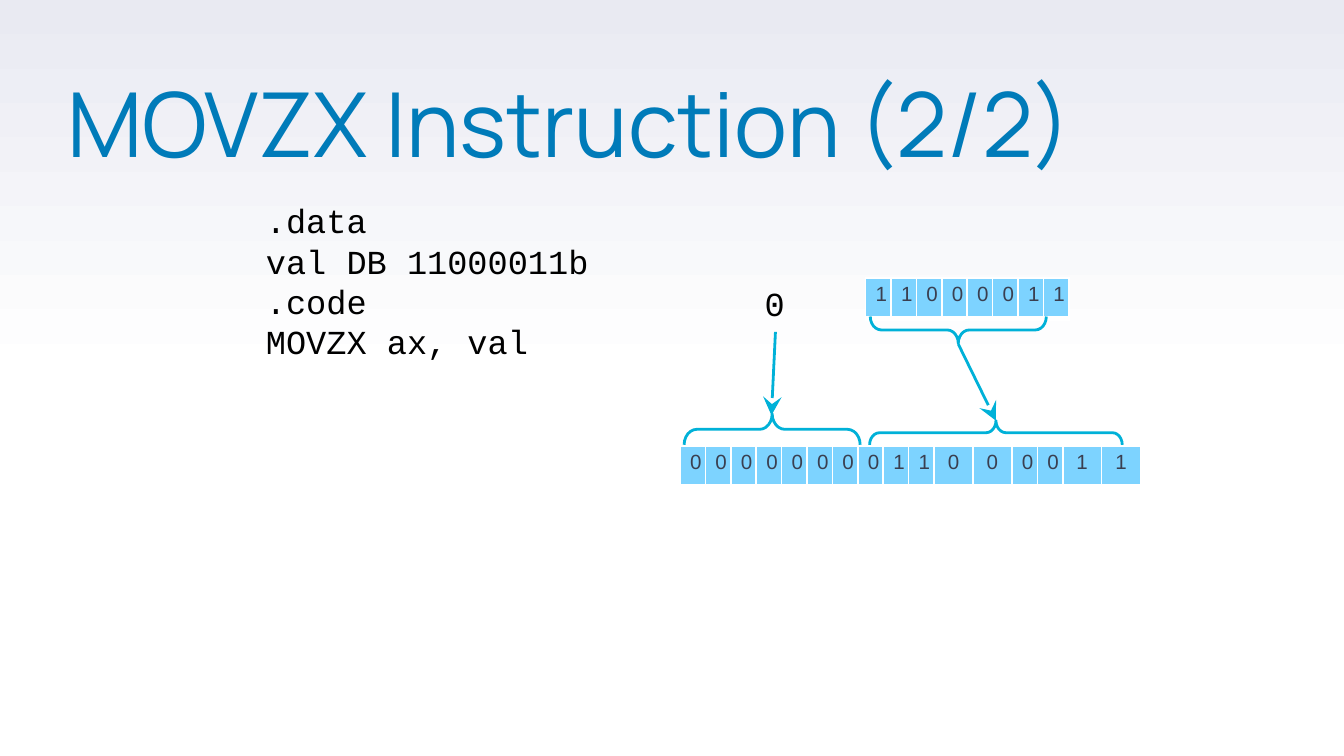
from dataclasses import dataclass

from lxml.etree import SubElement
from pptx import Presentation
from pptx.dml.color import RGBColor
from pptx.enum.shapes import MSO_CONNECTOR, MSO_SHAPE
from pptx.enum.text import MSO_AUTO_SIZE, PP_ALIGN
from pptx.oxml.ns import qn
from pptx.util import Inches, Pt

WHITE, CYAN = "FFFFFF", "00B1D8"
NARROW, WIDE = 1.42 / 8, 0.29
CELL_MARGIN = 0.15 / 2
BORDERS = {"a:lnL": 1, "a:lnR": 1, "a:lnT": 1, "a:lnB": 3}


@dataclass
class Register:
    left: float
    top: float
    bits: str
    wide_columns: tuple = ()


@dataclass
class Brace:
    left: float
    top: float
    width: float
    height: float
    rotation: int


@dataclass
class Arrow:
    start: tuple
    end: tuple


REGISTERS = [
    Register(5.06, 3.32, "0000000011000011", (10, 11, 14, 15)),
    Register(6.44, 2.07, "11000011"),
]
BRACES = [
    Brace(7.03, 1.8, 0.2, 1.31, 270),
    Brace(7.32, 2.28, 0.18, 1.88, 90),
    Brace(5.63, 2.54, 0.23, 1.31, 90),
]
ARROWS = [Arrow((7.13, 2.56), (7.41, 3.13)), Arrow((5.77, 2.47), (5.74, 3.09))]


def color(value: str) -> RGBColor:
    return RGBColor.from_string(value)


def write(frame, text: str, *, font: str, size: float, fill: str,
          align=PP_ALIGN.LEFT, spacing: float = 1.0) -> None:
    """Write each line of text as a formatted paragraph."""
    for index, line in enumerate(text.split("\n")):
        paragraph = frame.paragraphs[0] if index == 0 else frame.add_paragraph()
        paragraph.alignment = align
        paragraph.line_spacing = spacing
        run = paragraph.add_run()
        run.text = line
        run.font.name = font
        run.font.size = Pt(size)
        run.font.color.rgb = color(fill)


def add_code(slide, text: str, left: float, top: float, width: float, height: float) -> None:
    frame = slide.shapes.add_textbox(
        Inches(left), Inches(top), Inches(width), Inches(height)).text_frame
    frame.word_wrap = False
    frame.auto_size = MSO_AUTO_SIZE.SHAPE_TO_FIT_TEXT
    write(frame, text, font="Courier New", size=18, fill="000000")


def format_bit(cell, bit: str) -> None:
    cell.margin_left = cell.margin_right = Inches(CELL_MARGIN)
    cell.margin_top = cell.margin_bottom = Inches(CELL_MARGIN / 2)
    write(cell.text_frame, bit, font="Arial", size=11, fill="3A3F50", align=PP_ALIGN.CENTER)
    properties = cell._tc.get_or_add_tcPr()
    for tag, width in BORDERS.items():
        border = SubElement(properties, qn(tag), w=str(Pt(width)))
        solid = SubElement(border, qn("a:solidFill"))
        SubElement(solid, qn("a:srgbClr"), val=WHITE)
    cell.fill.solid()
    cell.fill.fore_color.rgb = color("7DD3FF")


def add_register(slide, register: Register) -> None:
    widths = [WIDE if index in register.wide_columns else NARROW
              for index in range(len(register.bits))]
    table = slide.shapes.add_table(
        1, len(widths), Inches(register.left), Inches(register.top),
        Inches(sum(widths)), Inches(0.3)).table
    table.first_row = table.horz_banding = False
    for index, (bit, width) in enumerate(zip(register.bits, widths)):
        table.columns[index].width = Inches(width)
        format_bit(table.cell(0, index), bit)


def style_line(line) -> None:
    line.color.rgb = color(CYAN)
    line.width = Pt(1.5)


def add_brace(slide, brace: Brace) -> None:
    shape = slide.shapes.add_shape(
        MSO_SHAPE.LEFT_BRACE, Inches(brace.left), Inches(brace.top),
        Inches(brace.width), Inches(brace.height))
    shape.adjustments[0] = 0.41
    shape.rotation = brace.rotation
    shape.shadow.inherit = False
    shape.fill.background()
    style_line(shape.line)


def add_arrow(slide, arrow: Arrow) -> None:
    points = [Inches(value) for value in arrow.start + arrow.end]
    connector = slide.shapes.add_connector(MSO_CONNECTOR.STRAIGHT, *points)
    style_line(connector.line)
    SubElement(connector.line._get_or_add_ln(), qn("a:tailEnd"),
               type="stealth", w="lg", len="lg")
    SubElement(connector._element.spPr, qn("a:effectLst"))


def main() -> None:
    presentation = Presentation()
    presentation.slide_width = Inches(10)
    presentation.slide_height = Inches(10 * 9 / 16)
    slide = presentation.slides.add_slide(presentation.slide_layouts[6])

    # Background: white lower half fading to lavender at the top
    background = slide.background.fill
    background.gradient()
    background.gradient_angle = 90
    stops = zip(background.gradient_stops, (0.5, 1), (WHITE, "E9EAF2"))
    for stop, position, value in stops:
        stop.position = position
        stop.color.rgb = color(value)

    # Title
    title = slide.shapes.add_textbox(
        Inches(0.5), Inches(0.66), Inches(8.96), Inches(1.18)).text_frame
    title.word_wrap = True
    title.margin_left = title.margin_top = title.margin_right = title.margin_bottom = 0
    write(title, "MOVZX Instruction (2/2)", font="Manrope", size=48, fill="007BB9", spacing=0.8)

    # Code and the zero that fills the upper byte
    add_code(slide, ".data\nval DB 11000011b\n.code\nMOVZX ax, val", 1.88, 1.44, 2.61, 1.31)
    add_code(slide, "0", 5.59, 2.06, 0.35, 0.4)

    # Registers with the braces and arrows between them
    for register in REGISTERS:
        add_register(slide, register)
    for brace in BRACES:
        add_brace(slide, brace)
    for arrow in ARROWS:
        add_arrow(slide, arrow)

    presentation.save("out.pptx")


if __name__ == "__main__":
    main()
